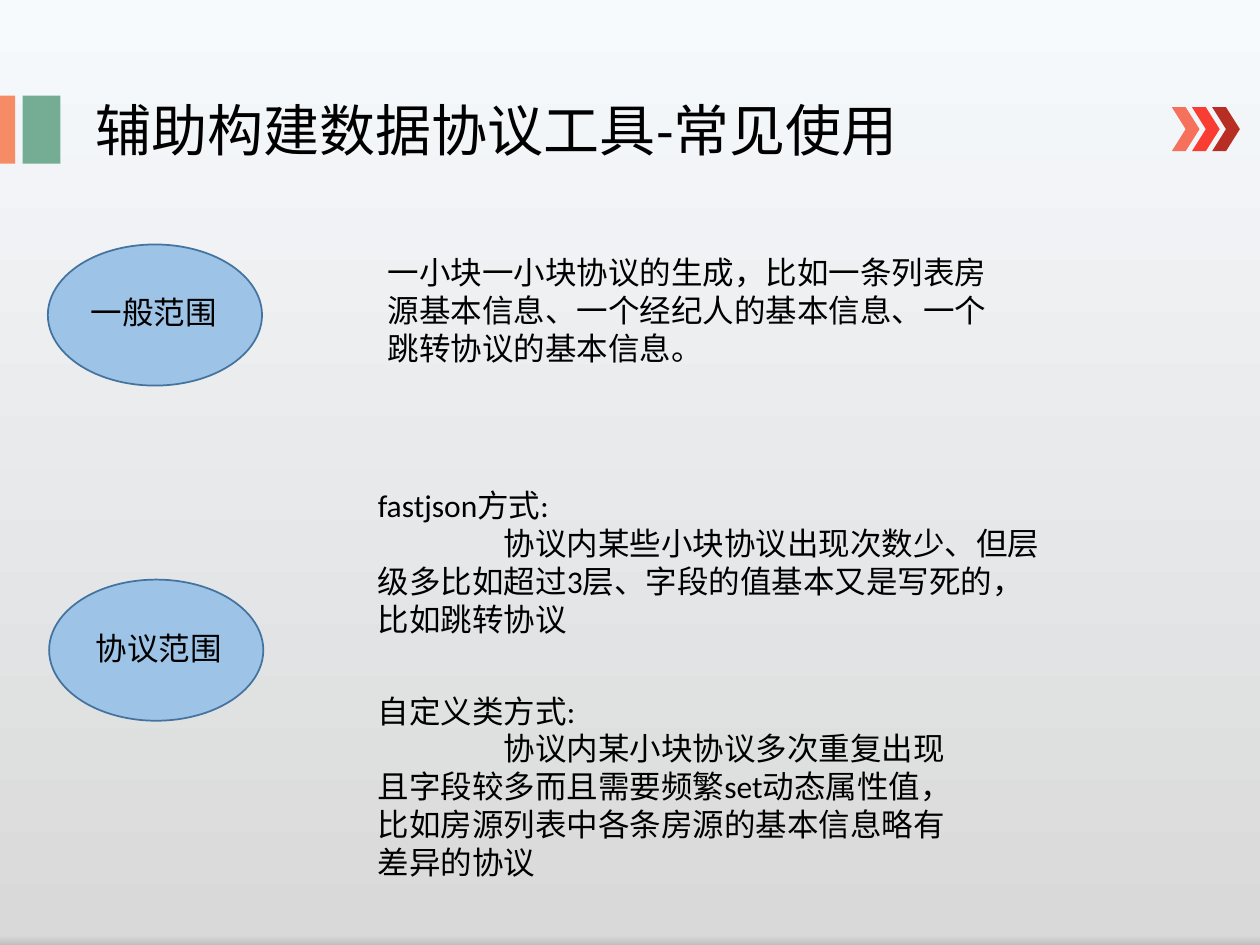
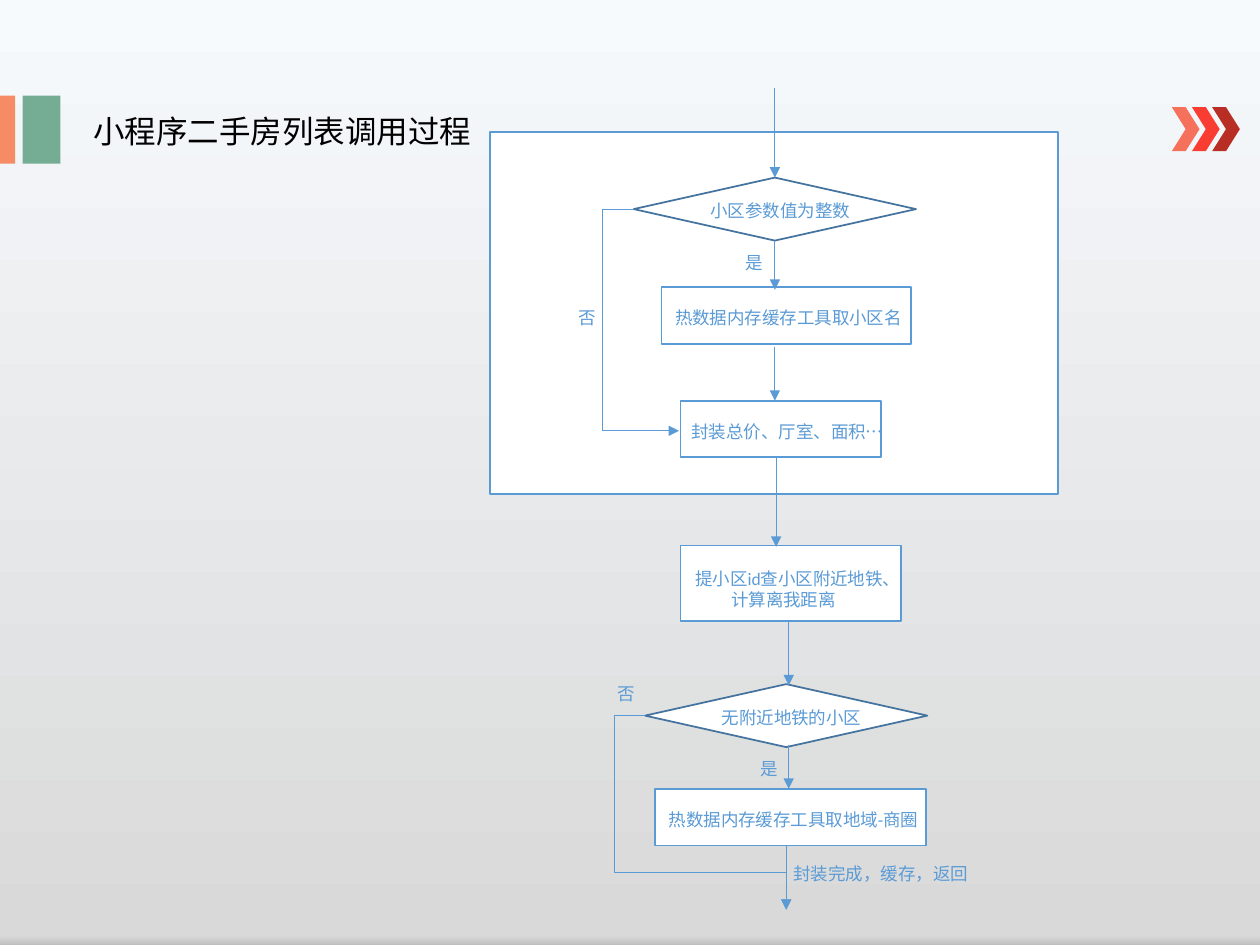
from lxml.etree import SubElement
from pptx import Presentation
from pptx.dml.color import RGBColor
from pptx.enum.lang import MSO_LANGUAGE_ID as Language
from pptx.enum.shapes import MSO_CONNECTOR as Connector, MSO_SHAPE as Shape
from pptx.enum.text import MSO_ANCHOR as Anchor, MSO_AUTO_SIZE as AutoSize, PP_ALIGN as Align
from pptx.oxml.ns import qn
from pptx.util import Inches, Pt

BLACK = RGBColor(0x00, 0x00, 0x00)
WHITE = RGBColor(0xFF, 0xFF, 0xFF)
BLUE = RGBColor(0x5B, 0x9B, 0xD5)
DARK_BLUE = RGBColor(0x43, 0x73, 0x9E)
PALE_BLUE = RGBColor(0x9D, 0xC3, 0xE6)
ORANGE = RGBColor(0xF5, 0x8C, 0x65)
GREEN = RGBColor(0x74, 0xAD, 0x93)
CHEVRON_REDS = (RGBColor(0xF5, 0x71, 0x5B), RGBColor(0xF9, 0x3D, 0x32),
                RGBColor(0xB8, 0x2E, 0x24))
BACKDROP = ((0, RGBColor(0xF7, 0xFA, 0xFD)), (99, RGBColor(0xD9, 0xD9, 0xD9)),
            (100, RGBColor(0xBF, 0xBF, 0xBF)))

FONT = "Calibri"
COLUMNS, ROWS = 20, 15
TITLE_ONLY = 5


class Painter:
    """Holds the deck's style and the current page; lengths are grid columns and rows."""

    def __init__(self):
        self.deck = Presentation()
        self.deck.slide_width, self.deck.slide_height = Inches(10), Inches(7.5)
        self.column = self.deck.slide_width / COLUMNS
        self.row = self.deck.slide_height / ROWS
        self.page = None
        self.paint_backdrop()

    def place(self, *lengths):
        """Turn alternating columns and rows into slide lengths."""
        return [round(length * (self.row if i % 2 else self.column))
                for i, length in enumerate(lengths)]

    def paint_backdrop(self):
        master = self.deck.slide_master
        fill = master.background.fill
        fill.gradient()
        fill.gradient_angle = 270
        stops = next(master.element.iter(qn("a:gsLst")))
        for stop in list(stops):
            stops.remove(stop)
        for percent, color in BACKDROP:
            stop = SubElement(stops, qn("a:gs"), pos=str(percent * 1000))
            SubElement(stop, qn("a:srgbClr"), val=str(color))

    def new_page(self, title, area, size):
        self.page = self.deck.slides.add_slide(self.deck.slide_layouts[TITLE_ONLY])
        box = self.page.shapes.title
        box.left, box.top, box.width, box.height = self.place(*area)
        self.set_lines(box.text_frame, [title], size, BLACK)
        self.accents()

    def accents(self):
        bars = self.page.shapes.add_group_shape().shapes
        self.shape(Shape.RECTANGLE, (0, 1.52, 0.24, 1.08), ORANGE, parent=bars)
        self.shape(Shape.RECTANGLE, (0.36, 1.52, 0.6, 1.08), GREEN, parent=bars)
        arrows = self.page.shapes.add_group_shape().shapes
        for i, red in enumerate(CHEVRON_REDS):
            self.shape(Shape.CHEVRON, (18.6 + 0.32 * i, 1.7, 0.44, 0.7), red, parent=arrows)

    def shape(self, kind, area, fill, line=None, parent=None):
        shapes = self.page.shapes if parent is None else parent
        shape = shapes.add_shape(kind, *self.place(*area))
        shape.shadow.inherit = False
        shape.fill.solid()
        shape.fill.fore_color.rgb = fill
        if line is None:
            shape.line.fill.background()
        else:
            shape.line.color.rgb = line
            shape.line.width = Pt(1)
        return shape

    def set_lines(self, frame, lines, size, color, indent=0):
        """Fill a frame; every line after the first starts indented by some columns."""
        frame.word_wrap = True
        frame.auto_size = AutoSize.NONE
        frame.vertical_anchor = Anchor.TOP
        frame.text = "\n".join(lines)
        for i, para in enumerate(frame.paragraphs):
            para.alignment = Align.LEFT
            para.font.name = FONT
            para.font.size = Pt(size)
            para.font.color.rgb = color
            para.font.language_id = Language.SIMPLIFIED_CHINESE
            if i and indent:
                para._p.get_or_add_pPr().set("indent", str(round(indent * self.column)))

    def text(self, area, *lines, size=18, color=BLACK, indent=0):
        box = self.page.shapes.add_textbox(*self.place(*area))
        self.set_lines(box.text_frame, lines, size, color, indent)

    def label(self, left, top, *lines, width=5.08, indent=0):
        self.text((left, top, width, 0.54 if len(lines) == 1 else 0.88), *lines,
                  size=10, color=BLUE, indent=indent)

    def arrow(self, start, end, kind=Connector.STRAIGHT):
        arrow = self.page.shapes.add_connector(kind, *self.place(*start, *end))
        arrow.line.color.rgb = BLUE
        arrow.line.width = Pt(0.5)
        properties = arrow.element.spPr
        SubElement(properties.find(qn("a:ln")), qn("a:tailEnd"), type="triangle")
        SubElement(properties, qn("a:effectLst"))
        return arrow

    def bypass(self, start, end, *bends):
        """Draw an elbow arrow whose bends are shares of its width and height."""
        geometry = self.arrow(start, end, Connector.ELBOW).element.spPr.find(qn("a:prstGeom"))
        geometry.set("prst", f"bentConnector{len(bends) + 2}")
        guides = geometry.find(qn("a:avLst"))
        if guides is None:
            guides = SubElement(geometry, qn("a:avLst"))
        for i, share in enumerate(bends, 1):
            SubElement(guides, qn("a:gd"), name=f"adj{i}", fmla=f"val {round(share * 100000)}")


def usage_page(painter):
    painter.new_page("辅助构建数据协议工具-常见使用", (1.32, 1.42, 16.26, 1.28), 32)
    painter.text((5.8, 7.62, 11.08, 3.24), "fastjson方式:",
                 "协议内某些小块协议出现次数少、但层级多比如超过3层、"
                 "字段的值基本又是写死的，比如跳转协议", indent=2)
    painter.text((5.8, 10.88, 9.7, 3.24), "自定义类方式:",
                 "协议内某小块协议多次重复出现且字段较多而且需要频繁set动态属性值，"
                 "比如房源列表中各条房源的基本信息略有差异的协议", indent=2)
    painter.text((5.96, 3.92, 10, 2.02),
                 "一小块一小块协议的生成，比如一条列表房源基本信息、"
                 "一个经纪人的基本信息、一个跳转协议的基本信息。")
    for name, left, top, text_left in (("协议范围", 0.78, 9.2, 1.32),
                                       ("一般范围", 0.76, 3.88, 1.24)):
        painter.shape(Shape.OVAL, (left, top, 3.4, 2.24), PALE_BLUE, DARK_BLUE)
        painter.text((text_left, top + 0.68, 9.64, 0.8), name)


def call_flow_page(painter):
    painter.new_page("小程序二手房列表调用过程", (1.28, 1.68, 6.44, 0.8), 18)

    for area in ((7.78, 2.1, 9.02, 5.74), (10.5, 4.56, 3.96, 0.9), (10.8, 6.36, 3.18, 0.9),
                 (10.4, 12.52, 4.3, 0.9), (10.8, 8.66, 3.5, 1.2)):
        painter.shape(Shape.RECTANGLE, area, WHITE, BLUE)
    integer_check = painter.shape(Shape.DIAMOND, (10.06, 2.82, 4.48, 1), WHITE, DARK_BLUE)
    painter.shape(Shape.DIAMOND, (10.24, 10.86, 4.48, 1), WHITE, DARK_BLUE)

    painter.label(11.08, 3.08, "小区参数值为整数")
    painter.label(10.52, 4.78, "热数据内存缓存工具取小区名")
    painter.label(10.78, 6.58, "封装总价、厅室、面积…")
    painter.label(10.84, 8.92, "提小区id查小区附近地铁、", "计算离我距离", indent=0.57)
    painter.label(11.26, 11.12, "无附近地铁的小区")
    painter.label(10.42, 12.74, "热数据内存缓存工具取地域-商圈")
    painter.label(12.4, 13.6, "封装完成，缓存，返回", width=3.94)
    for answer, left, top in (("是", 11.64, 3.9), ("否", 8.98, 4.78),
                              ("是", 11.88, 11.94), ("否", 9.6, 10.74)):
        painter.label(left, top, answer, width=0.78)

    painter.arrow((12.3, 1.4), (12.3, 2.82)).end_connect(integer_check, 0)
    painter.arrow((12.3, 3.82), (12.3, 4.6)).begin_connect(integer_check, 2)
    for x, top, bottom in ((12.3, 5.5, 6.36), (12.32, 7.26, 8.68), (12.52, 9.86, 10.88),
                           (12.52, 11.82, 12.52), (12.48, 13.42, 14.44)):
        painter.arrow((x, top), (x, bottom))
    painter.bypass((10.06, 3.32), (10.78, 6.84), -0.7)
    painter.bypass((10.24, 11.36), (12.48, 14.44), -0.22, 0.81)


def main():
    painter = Painter()
    usage_page(painter)
    call_flow_page(painter)
    painter.deck.save("out.pptx")


if __name__ == "__main__":
    main()
